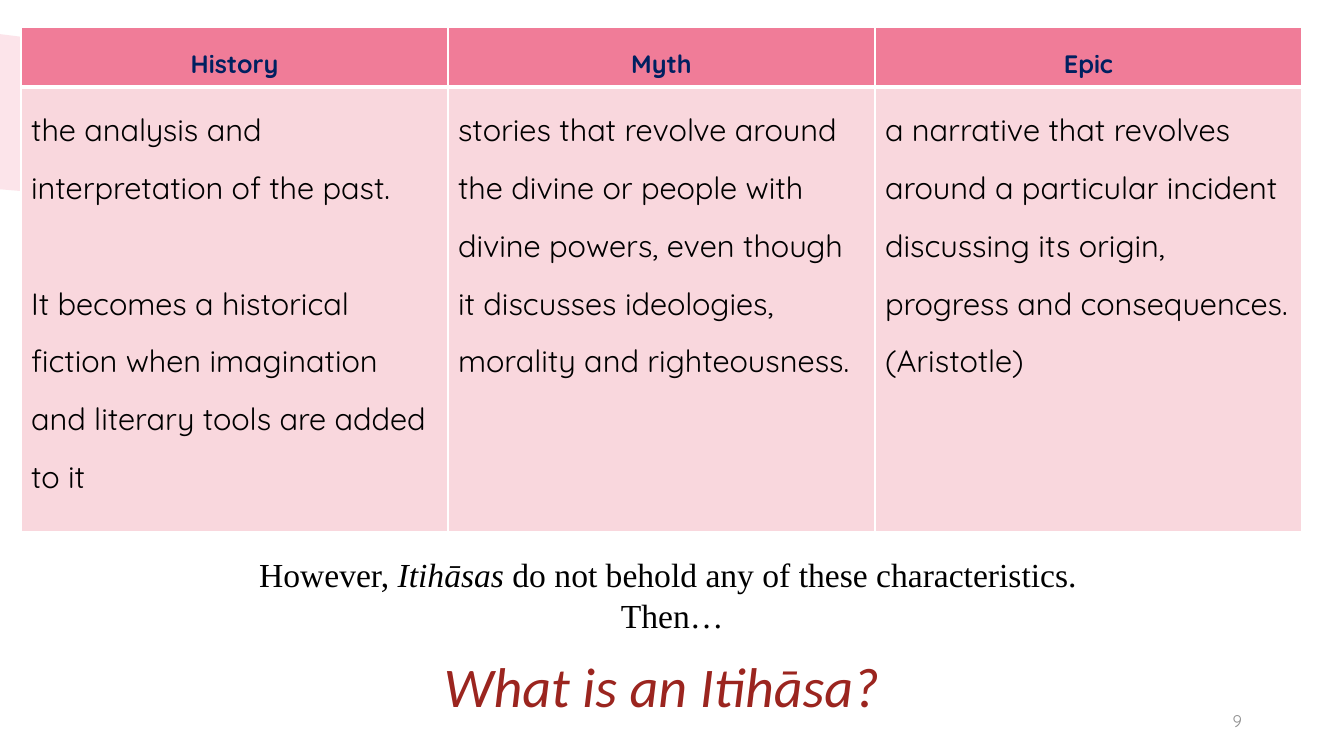
from pptx import Presentation
from pptx.dml.color import RGBColor
from pptx.enum.text import MSO_ANCHOR, PP_ALIGN
from pptx.oxml.ns import qn
from pptx.util import Cm, Pt
from lxml import etree

LEFT, MID, RIGHT = PP_ALIGN.LEFT, PP_ALIGN.CENTER, PP_ALIGN.RIGHT
TOP, CENTER = MSO_ANCHOR.TOP, MSO_ANCHOR.MIDDLE

ROSE, BLUSH, NAVY, RED = "F07C98", "F9D7DD", "002060", "9B251F"
WHITE, BLACK, GREY = "FFFFFF", "000000", "8C8C8C"
SANS, SERIF, TITLE = "Quicksand", "Times New Roman", "Calibri"

TERMS = {
    "History": [
        "the analysis and interpretation of the past.",
        "It becomes a historical fiction when imagination and literary "
        "tools are added to it",
    ],
    "Myth": [
        "stories that revolve around the divine or people with divine "
        "powers, even though it discusses ideologies, morality and "
        "righteousness.",
    ],
    "Epic": [
        "a narrative that revolves around a particular incident discussing "
        "its origin, progress and consequences. (Aristotle)",
    ],
}

# Outline of the brush stroke, in cm from its top left corner
BRUSH = [
    (0, 0), (0.64, 0.08), (1.68, 0.11), (2.59, 0.08), (3.84, 0.1),
    (4.93, 0.18), (6.3, 0.18), (7.11, 0.33), (6.43, 0.58), (6.65, 0.71),
    (6.05, 0.81), (6.98, 1.02), (6.38, 1.04), (7.37, 1.28), (6.68, 1.37),
    (8.38, 1.52), (8.08, 1.83), (7.62, 2.01), (7.11, 2.18), (6.96, 2.39),
    (7.82, 2.39), (6.83, 2.64), (6.4, 2.9), (5, 3.5), (2.59, 3.91),
    (1.65, 3.99), (0.58, 3.96), (0, 3.91),
]


def color(code):
    return RGBColor.from_string(code)


def write(frame, paras, size=18, font=SANS, ink=BLACK, bold=False,
          align=LEFT, anchor=TOP, space=1.0, gap=0):
    """Each paragraph is a string or a list of (text, italic) pairs."""
    frame.word_wrap = True
    frame.vertical_anchor = anchor
    for i, parts in enumerate(paras):
        para = frame.paragraphs[0] if i == 0 else frame.add_paragraph()
        para.alignment = align
        para.line_spacing = space
        if i and gap:
            para.space_before = Pt(gap)
        if isinstance(parts, str):
            parts = [(parts, False)]
        for text, slant in parts:
            run = para.add_run()
            run.text = text
            run.font.size = Pt(size)
            run.font.name = font
            run.font.bold = bold
            run.font.italic = slant
            run.font.color.rgb = color(ink)


def label(slide, box, paras, **style):
    shape = slide.shapes.add_textbox(*map(Cm, box))
    write(shape.text_frame, paras, **style)


def brush(slide, left, top):
    points = [(Cm(left + x), Cm(top + y)) for x, y in BRUSH]
    pen = slide.shapes.build_freeform(*points[0])
    pen.add_line_segments(points[1:], close=True)
    shape = pen.convert_to_shape()
    shape.shadow.inherit = False
    shape.line.fill.background()
    shape.fill.solid()
    shape.fill.fore_color.rgb = color(ROSE)
    tint = shape.fill._xPr.find(".//" + qn("a:srgbClr"))
    etree.SubElement(tint, qn("a:alpha"), val="20000")


def paint(cell, fill, edges):
    """Set the borders, given as side and points, and then the fill."""
    props = cell._tc.get_or_add_tcPr()
    for side, width in edges.items():
        line = etree.SubElement(props, qn("a:ln" + side), w=str(Pt(width)))
        solid = etree.SubElement(line, qn("a:solidFill"))
        etree.SubElement(solid, qn("a:srgbClr"), val=WHITE)
    cell.fill.solid()
    cell.fill.fore_color.rgb = color(fill)


def grid(slide, left, top, width, heights):
    count = len(TERMS)
    frame = slide.shapes.add_table(
        2, count, Cm(left), Cm(top), Cm(width), Cm(sum(heights)))
    table = frame.table
    for row, height in zip(table.rows, heights):
        row.height = Cm(height)
    for i, (term, sense) in enumerate(TERMS.items()):
        table.columns[i].width = Cm(width / count)
        head, body = table.cell(0, i), table.cell(1, i)
        paint(head, ROSE, {"L": 1, "R": 1, "T": 1, "B": 3})
        paint(body, BLUSH, {"L": 1, "R": 1, "T": 3, "B": 1})
        write(head.text_frame, [term], ink=NAVY, bold=True, align=MID,
              space=1.5)
        write(body.text_frame, sense, size=22, space=1.5, gap=41.25)


def closing(slide, left, top):
    # Remark under the table
    label(slide, (left, top, 23.16, 2.31), [
        [("However, ", False), ("Itihāsas ", True),
         ("do not behold any of these characteristics. ", False)],
        "Then…",
    ], size=24, font=SERIF, align=MID)
    # Question
    label(slide, (left + 3.78, top + 2.44, 15.06, 2.16),
          [[("What is an Itihāsa?", True)]], size=40, font=TITLE, ink=RED,
          align=MID, anchor=CENTER, space=0.9)
    # Slide number
    label(slide, (left + 18.57, top + 3.81, 7.62, 1.02), ["9"], size=12,
          ink=GREY, align=RIGHT, anchor=CENTER)


def main():
    deck = Presentation()
    deck.slide_width, deck.slide_height = Cm(33.87), Cm(19.05)
    slide = deck.slides.add_slide(deck.slide_layouts[6])
    brush(slide, 0, 0.86)
    grid(slide, 0.53, 0.69, 32.28, (1.5, 11.2))
    closing(slide, 5.36, 13.84)
    deck.save("out.pptx")


if __name__ == "__main__":
    main()
